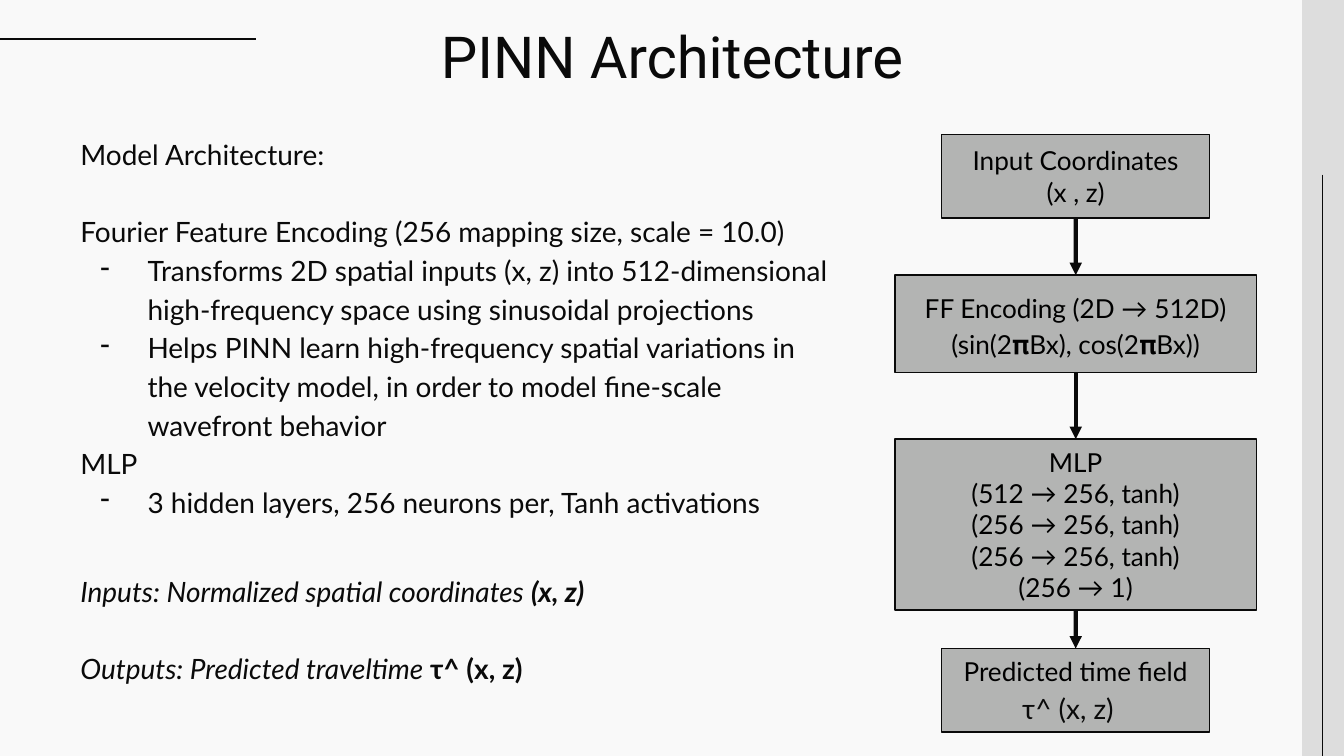
from lxml import etree
from pptx import Presentation
from pptx.dml.color import RGBColor
from pptx.enum.shapes import MSO_CONNECTOR, MSO_SHAPE
from pptx.enum.text import MSO_ANCHOR, PP_ALIGN
from pptx.oxml.ns import qn
from pptx.util import Cm, Pt

STRAIGHT = MSO_CONNECTOR.STRAIGHT
RECT = MSO_SHAPE.RECTANGLE
TOP, MIDDLE = MSO_ANCHOR.TOP, MSO_ANCHOR.MIDDLE
LEFT, CENTER = PP_ALIGN.LEFT, PP_ALIGN.CENTER
BOTTOM_SITE, TOP_SITE = 2, 0

THEME = {
    "background": "F9F9F9", "band": "DDDDDD", "box": "B3B4B3",
    "ink": "0A0A0A", "box_text": "000000",
    "title_font": "Roboto", "body_font": "Lato",
    "title_size": 31, "body_size": 15, "box_size": 14,
    "thin": 0.75, "thick": 2.25,
}
SLIDE_W, SLIDE_H = 25.4, 14.29
INSET = 0.25
BLANK_LINE = 20.7
BULLET = {"bullet": "-", "margin": 1.27, "indent": -0.89}
GAP = {"before": BLANK_LINE}

TITLE = [("PINN Architecture", {})]
TITLE_BOX = (1.98, 0.15, 21.44, 1.52)
BODY_BOX = (1.27, 2.26, 14.88, 11.71)
BODY = [
    ("Model Architecture:", {}),
    ("Fourier Feature Encoding (256 mapping size, scale = 10.0)", GAP),
    ("Transforms 2D spatial inputs (x, z) into 512-dimensional high-frequency "
     "space using sinusoidal projections", BULLET),
    ("Helps PINN learn high-frequency spatial variations in the velocity model, "
     "in order to model fine-scale wavefront behavior", BULLET),
    ("MLP", {}),
    ("3 hidden layers, 256 neurons per, Tanh activations", BULLET),
    ([("Inputs: Normalized spatial coordinates ", "i"), ("(x, z)", "bi")],
     {**GAP, "spacing": 1.5}),
    ([("Outputs: Predicted traveltime ", "i"), ("τ^ (x, z)", "b")], GAP),
]

FLOW_CENTER = 20.33
NARROW, WIDE = 5.06, 6.83
STEPS = [
    (2.54, NARROW, 1.58, 1, [("Input Coordinates", {}), ("(x , z)", {})]),
    (5.2, WIDE, 1.84, 1.15, [("FF Encoding (2D → 512D)", {}),
                             ("(sin(2𝛑Bx), cos(2𝛑Bx))", {})]),
    (8.3, WIDE, 3.23, 1, [("MLP", {}), ("(512 → 256, tanh)", {}),
                          ("(256 → 256, tanh)", {}), ("(256 → 256, tanh)", {}),
                          ("(256 → 1)", {})]),
    (12.26, NARROW, 1.58, 1, [
        ("Predicted time field", {}),
        ("τ^ (x, z)", {"align": LEFT, "indent": 1.27, "spacing": 1.15,
                       "size": THEME["body_size"], "color": THEME["ink"]})]),
]
RULES = [((4.83, 0.74), (0, 0.74)), ((24.99, 3.3), (24.99, SLIDE_H))]


def rgb(name):
    return RGBColor.from_string(name)


def write(tf, paragraphs, anchor=TOP, **base):
    tf.word_wrap = True
    tf.vertical_anchor = anchor
    tf.margin_left = tf.margin_right = tf.margin_top = tf.margin_bottom = Cm(INSET)
    for i, (content, own) in enumerate(paragraphs):
        fmt = {"align": LEFT, "spacing": 1, "before": 0, **base, **own}
        p = tf.paragraphs[0] if i == 0 else tf.add_paragraph()
        p.alignment = fmt["align"]
        p.line_spacing = fmt["spacing"]
        p.space_before = Pt(fmt["before"])
        pPr = p._p.get_or_add_pPr()
        pPr.set("marL", str(Cm(fmt.get("margin", 0))))
        pPr.set("indent", str(Cm(fmt.get("indent", 0))))
        if "bullet" in fmt:
            color = etree.SubElement(pPr, qn("a:buClr"))
            etree.SubElement(color, qn("a:srgbClr"), val=fmt["color"])
            etree.SubElement(pPr, qn("a:buChar"), char=fmt["bullet"])
        runs = [(content, "")] if isinstance(content, str) else content
        for text, style in runs:
            r = p.add_run()
            r.text = text
            r.font.name = fmt["font"]
            r.font.size = Pt(fmt["size"])
            r.font.bold = "b" in style
            r.font.italic = "i" in style
            r.font.color.rgb = rgb(fmt["color"])


def add_text_box(s, box, paragraphs, **fmt):
    write(s.shapes.add_textbox(*map(Cm, box)).text_frame, paragraphs, **fmt)


def add_rect(s, box, fill, outline=None):
    sp = s.shapes.add_shape(RECT, *map(Cm, box))
    sp.shadow.inherit = False
    sp.fill.solid()
    sp.fill.fore_color.rgb = rgb(fill)
    if outline:
        sp.line.color.rgb = rgb(outline)
        sp.line.width = Pt(THEME["thin"])
    else:
        sp.line.fill.background()
    return sp


def add_line(s, start, end, width):
    line = s.shapes.add_connector(STRAIGHT, *map(Cm, start + end))
    line.line.color.rgb = rgb(THEME["ink"])
    line.line.width = Pt(width)
    etree.SubElement(line._element.spPr, qn("a:effectLst"))
    return line


def add_arrow(s, upper, lower):
    arrow = add_line(s, (0, 0), (0, 0), THEME["thick"])
    arrow.begin_connect(upper, BOTTOM_SITE)
    arrow.end_connect(lower, TOP_SITE)
    etree.SubElement(arrow.line._get_or_add_ln(), qn("a:tailEnd"), type="triangle")


def main():
    prs = Presentation()
    prs.slide_width, prs.slide_height = Cm(SLIDE_W), Cm(SLIDE_H)
    s = prs.slides.add_slide(prs.slide_layouts[6])
    s.background.fill.solid()
    s.background.fill.fore_color.rgb = rgb(THEME["background"])

    add_rect(s, (24.61, 0, SLIDE_W - 24.61, SLIDE_H), THEME["band"])
    for start, end in RULES:
        add_line(s, start, end, THEME["thin"])

    add_text_box(s, TITLE_BOX, TITLE, align=CENTER, font=THEME["title_font"],
                 size=THEME["title_size"], color=THEME["ink"])
    add_text_box(s, BODY_BOX, BODY, spacing=1.15, font=THEME["body_font"],
                 size=THEME["body_size"], color=THEME["ink"])

    boxes = []
    for top, width, height, spacing, lines in STEPS:
        sp = add_rect(s, (FLOW_CENTER - width / 2, top, width, height),
                      THEME["box"], THEME["ink"])
        write(sp.text_frame, lines, anchor=MIDDLE, align=CENTER, spacing=spacing,
              font=THEME["body_font"], size=THEME["box_size"],
              color=THEME["box_text"])
        boxes.append(sp)
    for upper, lower in zip(boxes, boxes[1:]):
        add_arrow(s, upper, lower)

    prs.save("out.pptx")


if __name__ == "__main__":
    main()
